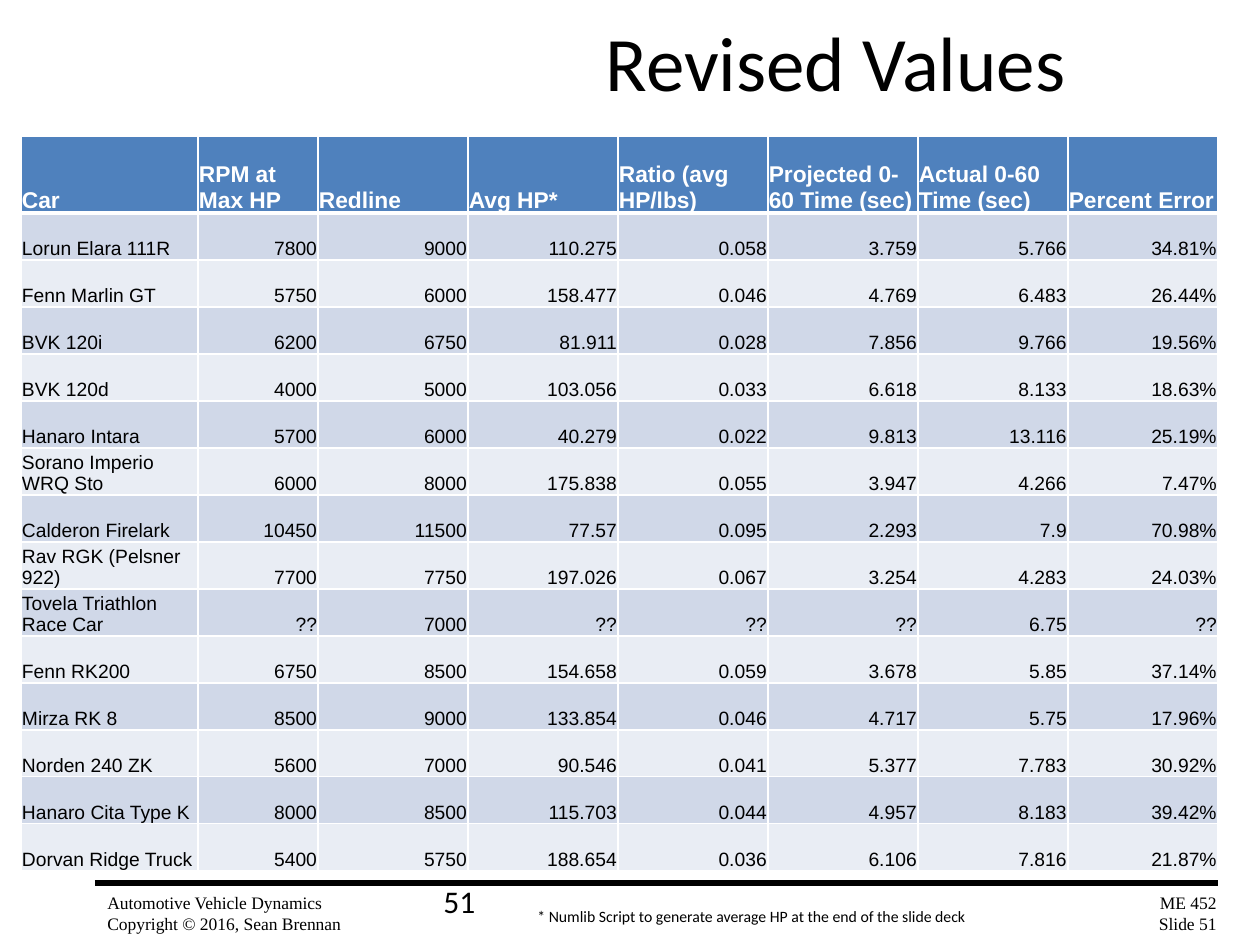
import pptx
import pptx.dml.color
import pptx.enum.shapes
import pptx.enum.text
import pptx.util
import pptx.oxml.ns
import lxml.etree

RGBColor = pptx.dml.color.RGBColor
ALIGN = pptx.enum.text.PP_ALIGN
ANCHOR = pptx.enum.text.MSO_ANCHOR

BLACK = RGBColor(0, 0, 0)
WHITE = RGBColor(255, 255, 255)
HEADER_BLUE = RGBColor(0x4F, 0x81, 0xBD)
BAND_COLORS = (RGBColor(0xD0, 0xD8, 0xE8), RGBColor(0xE9, 0xED, 0xF4))

COLUMN_WIDTHS = [177, 120] + [150] * 6
HEADER_HEIGHT = 77
ROW_HEIGHT = 47
HEADINGS = ["Car", "RPM at Max HP", "Redline", "Avg HP*", "Ratio (avg HP/lbs)",
            "Projected 0-60 Time (sec)", "Actual 0-60 Time (sec)", "Percent Error"]
CARS = [
    ["Lorun Elara 111R", "7800", "9000", "110.275", "0.058", "3.759", "5.766", "34.81%"],
    ["Fenn Marlin GT", "5750", "6000", "158.477", "0.046", "4.769", "6.483", "26.44%"],
    ["BVK 120i", "6200", "6750", "81.911", "0.028", "7.856", "9.766", "19.56%"],
    ["BVK 120d", "4000", "5000", "103.056", "0.033", "6.618", "8.133", "18.63%"],
    ["Hanaro Intara", "5700", "6000", "40.279", "0.022", "9.813", "13.116", "25.19%"],
    ["Sorano Imperio WRQ Sto", "6000", "8000", "175.838", "0.055", "3.947", "4.266", "7.47%"],
    ["Calderon Firelark", "10450", "11500", "77.57", "0.095", "2.293", "7.9", "70.98%"],
    ["Rav RGK (Pelsner 922)", "7700", "7750", "197.026", "0.067", "3.254", "4.283", "24.03%"],
    ["Tovela Triathlon Race Car", "??", "7000", "??", "??", "??", "6.75", "??"],
    ["Fenn RK200", "6750", "8500", "154.658", "0.059", "3.678", "5.85", "37.14%"],
    ["Mirza RK 8", "8500", "9000", "133.854", "0.046", "4.717", "5.75", "17.96%"],
    ["Norden 240 ZK", "5600", "7000", "90.546", "0.041", "5.377", "7.783", "30.92%"],
    ["Hanaro Cita Type K", "8000", "8500", "115.703", "0.044", "4.957", "8.183", "39.42%"],
    ["Dorvan Ridge Truck", "5400", "5750", "188.654", "0.036", "6.106", "7.816", "21.87%"],
]


def px(length):
    return pptx.util.Emu(round(length * 914400 / 126))


def format_text(frame, font_name, size, color=BLACK, align=ALIGN.LEFT, bold=False):
    for paragraph in frame.paragraphs:
        paragraph.alignment = align
        for run in paragraph.runs:
            run.font.name = font_name
            run.font.size = pptx.util.Pt(size)
            run.font.color.rgb = color
            run.font.bold = bold


def add_title(slide, left, top, width, height):
    title = slide.shapes.title
    title.left, title.top, title.width, title.height = map(px, (left, top, width, height))
    title.text_frame.text = "Revised Values"
    title.text_frame.vertical_anchor = ANCHOR.MIDDLE
    format_text(title.text_frame, "Calibri", 44)


def add_label(slide, text, left, top, width, height, font_name, size,
              align=ALIGN.LEFT, wrap=True):
    label = slide.shapes.add_textbox(*map(px, (left, top, width, height)))
    label.text_frame.word_wrap = wrap
    label.text_frame.text = text
    format_text(label.text_frame, font_name, size, align=align)


def set_borders(cell, bottom_width):
    properties = cell._tc.get_or_add_tcPr()
    for edge, width in (("lnL", 1), ("lnR", 1), ("lnT", 1), ("lnB", bottom_width)):
        border = lxml.etree.SubElement(properties, pptx.oxml.ns.qn("a:" + edge),
                                       w=str(pptx.util.Pt(width)))
        fill = lxml.etree.SubElement(border, pptx.oxml.ns.qn("a:solidFill"))
        lxml.etree.SubElement(fill, pptx.oxml.ns.qn("a:srgbClr"), val=str(WHITE))


def fill_cell(cell, text, background, size, color, align, bold, bottom_width):
    cell.text_frame.text = text
    cell.vertical_anchor = ANCHOR.BOTTOM
    cell.margin_left = cell.margin_right = cell.margin_top = px(1)
    cell.margin_bottom = 0
    set_borders(cell, bottom_width)
    cell.fill.solid()
    cell.fill.fore_color.rgb = background
    format_text(cell.text_frame, "Arial", size, color, align, bold)


def add_car_table(slide, left, top):
    height = HEADER_HEIGHT + ROW_HEIGHT * len(CARS)
    table = slide.shapes.add_table(
        len(CARS) + 1, len(HEADINGS),
        *map(px, (left, top, sum(COLUMN_WIDTHS), height))).table
    for column, width in zip(table.columns, COLUMN_WIDTHS):
        column.width = px(width)
    for row in table.rows:
        row.height = px(ROW_HEIGHT)
    table.rows[0].height = px(HEADER_HEIGHT)
    for column, heading in enumerate(HEADINGS):
        fill_cell(table.cell(0, column), heading, HEADER_BLUE, 13, WHITE,
                  ALIGN.LEFT, True, 3)
    for row, car in enumerate(CARS):
        for column, value in enumerate(car):
            align = ALIGN.RIGHT if column else ALIGN.LEFT
            fill_cell(table.cell(row + 1, column), value, BAND_COLORS[row % 2], 11,
                      BLACK, align, False, 1)


def add_footer(slide, left, top, width):
    rule = slide.shapes.add_connector(
        pptx.enum.shapes.MSO_CONNECTOR.STRAIGHT,
        px(left), px(top), px(left + width), px(top))
    rule.line.color.rgb = BLACK
    rule.line.width = pptx.util.Pt(3)
    lxml.etree.SubElement(rule._element.spPr, pptx.oxml.ns.qn("a:effectLst"))
    add_label(slide, "Automotive Vehicle Dynamics\nCopyright © 2016, Sean Brennan",
              left, top + 3, 262, 55, "Times New Roman", 10, wrap=False)
    add_label(slide, "ME 452\nSlide 51", left + width - 76, top + 3, 87, 55,
              "Times New Roman", 10, ALIGN.RIGHT, wrap=False)
    add_label(slide, "51", left + 336, top - 7, 399, 50, "Calibri", 18)
    add_label(slide, "* Numlib Script to generate average HP at the end of the slide deck",
              left + 430, top + 18, 536, 32, "Calibri", 9)


def main():
    presentation = pptx.Presentation()
    presentation.slide_width = px(1260)
    presentation.slide_height = px(945)
    slide = presentation.slides.add_slide(presentation.slide_layouts[5])
    add_car_table(slide, 21, 136)
    add_title(slide, 593, 3, 625, 116)
    add_footer(slide, 95, 883, 1123)
    presentation.save("out.pptx")


if __name__ == "__main__":
    main()
